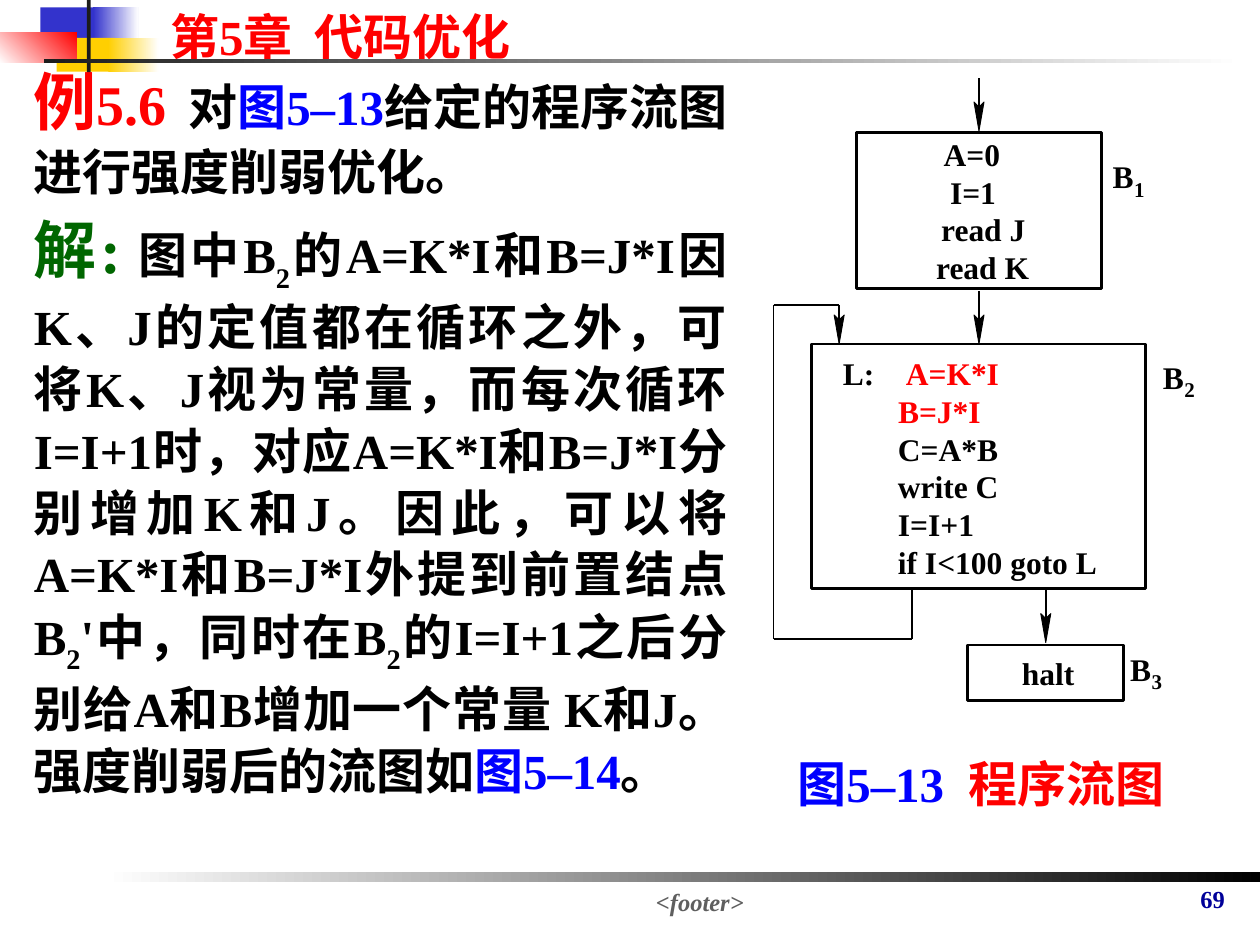
from collections import namedtuple
from itertools import pairwise

from lxml.etree import SubElement
from pptx import Presentation
from pptx.dml.color import RGBColor
from pptx.enum.shapes import MSO_CONNECTOR as LINK, MSO_SHAPE as SHAPE
from pptx.enum.text import MSO_ANCHOR as ANCHOR, MSO_AUTO_SIZE as FIT, PP_ALIGN as ALIGN
from pptx.oxml.ns import qn
from pptx.util import Inches, Pt

FONT = "Times New Roman"
BLACK, WHITE, RED, BLUE, GREEN = "000000", "FFFFFF", "FF0000", "0000FF", "006600"
COLUMNS, ROWS = 100, 75
CELL = Inches(10) / COLUMNS

Box = namedtuple("Box", "left top width height")


def rgb(value):
    """Turn a hex string into a colour."""
    return RGBColor.from_string(value)


def cells(*counts):
    """Turn grid cells into slide lengths."""
    return [round(count * CELL) for count in counts]


def inside(box, left, top, width=0, height=0):
    """Give the box at an offset from the corner of another box."""
    return Box(box.left + left, box.top + top, width, height)


def set_font(font, size, color, italic=False):
    """Format a font in the slide's bold typeface."""
    font.name, font.size, font.bold, font.italic = FONT, Pt(size), True, italic
    font.color.rgb = rgb(color)


def add_spans(para, spans):
    """Add runs given as (text, size, color, baseline)."""
    for text, size, color, *baseline in spans:
        span = para.add_run()
        span.text = text
        set_font(span.font, size, color)
        if baseline:
            span.font._element.set("baseline", str(baseline[0]))


def add_text(page, box, spans, align=ALIGN.LEFT, margins=True, italic=False):
    """Add a one-paragraph text box."""
    frame = page.shapes.add_textbox(*cells(*box)).text_frame
    frame.word_wrap = margins
    if not margins:
        frame.margin_left = frame.margin_right = frame.margin_top = frame.margin_bottom = 0
    para = frame.paragraphs[0]
    para.alignment = align
    add_spans(para, spans)
    if italic:
        para.runs[0].font.italic = True
    return frame


def add_block(page, box, color, end=None, angle=0, line=None):
    """Add a rectangle, plain or fading from color to end."""
    shape = page.shapes.add_shape(SHAPE.RECTANGLE, *cells(*box))
    shape.shadow.inherit = False
    if end:
        shape.fill.gradient()
        shape.fill.gradient_angle = angle
        for stop, stop_color in zip(shape.fill.gradient_stops, (color, end)):
            stop.color.rgb = rgb(stop_color)
    else:
        shape.fill.solid()
        shape.fill.fore_color.rgb = rgb(color)
    if line:
        shape.line.color.rgb = rgb(line)
        shape.line.width = Pt(1.62)
    else:
        shape.line.fill.background()


def add_line(page, start, end):
    """Add a thin black line between two grid points."""
    line = page.shapes.add_connector(LINK.STRAIGHT, *cells(*start, *end))
    line.line.color.rgb = rgb(BLACK)
    line.line.width = Pt(0.88)
    SubElement(line._element.spPr, qn("a:effectLst"))


def add_arrow(page, left, top, length):
    """Add a downward arrow with a barbed head."""
    tip = top + length
    add_line(page, (left, top), (left, tip - 0.4))
    outline = [(left, tip - 1.9), (left - 0.4, tip - 2.3), (left, tip), (left + 0.4, tip - 2.3)]
    points = [tuple(cells(*point)) for point in outline]
    builder = page.shapes.build_freeform(*points[0])
    builder.add_line_segments(points[1:], close=True)
    head = builder.convert_to_shape()
    head.shadow.inherit = False
    head.fill.solid()
    head.fill.fore_color.rgb = rgb(BLACK)
    head.line.color.rgb = rgb(BLACK)
    head.line.width = Pt(0.5)


def add_header(page, box):
    """Place the coloured ornament and the chapter title."""
    add_block(page, inside(box, 3.2, 0.6, 4.8, 2.7), "3333CC")
    add_block(page, inside(box, 7.4, 0.6, 3.6, 2.7), "3333CC", WHITE)
    add_block(page, inside(box, 4.5, 3, 4.6, 2.7), "FFCF01")
    add_block(page, inside(box, 8.6, 3, 4, 2.7), "FFCF01", WHITE)
    add_block(page, inside(box, 0, 2.6, 6.1, 2.4), WHITE, RED, angle=45)
    add_block(page, inside(box, 6.9, 0, 0.3, 6), "1C1C1C")
    add_block(page, inside(box, 3.5, 4.7, 95.1, 0.3), "1C1C1C", WHITE)
    title = page.shapes.title
    title.left, title.top, title.width, title.height = cells(*inside(box, 12.5, 0, 31.2, 5.7))
    frame = title.text_frame
    frame.auto_size, frame.vertical_anchor = FIT.NONE, ANCHOR.TOP
    frame.text = "第5章  代码优化"
    frame.paragraphs[0].alignment = ALIGN.LEFT
    set_font(frame.paragraphs[0].font, 28, RED)


def add_footer(page, box):
    """Place the fading rule, the footer and the page number."""
    add_block(page, inside(box, 8.3, 0, 91.7, 0.8), WHITE, BLACK)
    add_text(page, inside(box, 93.3, 0.5, 5.9, 3.4), [("69", 14, "000099")], ALIGN.CENTER)
    add_text(page, inside(box, 18.5, 0.7, 74.1, 2.6), [("<footer>", 14, "5F5F5F")],
             ALIGN.CENTER, italic=True)


def add_example(page, box):
    """Place the example and its solution."""
    sub = ("2", 28, BLACK, -30000)
    question = [("例", 36, RED), ("5.6", 32, RED), ("  ", 24, BLACK), ("对", 28, BLACK),
                ("图5–13", 28, BLUE), ("给定的程序流图进行强度削弱优化。", 28, BLACK)]
    answer = [("解:", 36, GREEN), (" ", 24, GREEN), ("图中B", 28, BLACK), sub,
              ("的A=K*I和B=J*I因K、J的定值都在循环之外，可将K、J视为常量，而每次循环I=I+1时，"
               "对应A=K*I和B=J*I分别增加K和J。因此，可以将A=K*I和B=J*I外提到前置结点B", 28, BLACK),
              sub, ("'中，同时在B", 28, BLACK), sub,
              ("的I=I+1之后分别给A和B增加一个常量 K和J。强度削弱后的流图如", 28, BLACK),
              ("图5–14", 28, BLUE), ("。", 28, BLACK)]
    frame = add_text(page, box, question, ALIGN.JUSTIFY)
    para = frame.add_paragraph()
    para.alignment = ALIGN.JUSTIFY
    para.space_before = Pt(3.5)
    add_spans(para, answer)
    for para in frame.paragraphs:
        para.line_spacing = 1.05


def add_code(page, box, lines):
    """Stack code lines, each given as an indent and its spans."""
    for row, (indent, *spans) in enumerate(lines):
        place = inside(box, indent, 3 * row, box.width - indent, 3)
        add_text(page, place, [(text, 18, color) for text, color in spans], margins=False)


def add_flowchart(page, box):
    """Place the three basic blocks, their labels and the links."""
    for place in ((6.6, 4.3, 19.4, 12.4), (3, 21.1, 26.5, 19.4), (15.4, 45, 12.4, 4.4)):
        add_block(page, inside(box, *place), WHITE, line=BLACK)
    gap = " " * 11
    add_code(page, inside(box, 12.9, 4.5, 10, 12), [
        (0.6, ("A=0", BLACK)), (1.1, ("I=1", BLACK)),
        (0.4, ("read J", BLACK)), (0, ("read K", BLACK))])
    add_code(page, inside(box, 3, 21.9, 26, 18), [
        (0, ("    L:    ", BLACK), ("A=K*I", RED)), (0, (gap, BLACK), ("B=J*I", RED)),
        *[(0, (gap + code, BLACK)) for code in ("C=A*B", "write C", "I=I+1", "if I<100 goto L")]])
    add_code(page, inside(box, 19.7, 45.7, 6, 3), [(0, ("halt", BLACK))])
    for number, (left, top) in enumerate([(26.9, 6.3), (30.9, 22.2), (28.3, 45.4)], 1):
        add_text(page, inside(box, left, top, 1.7, 3), [("B", 18, BLACK)], margins=False)
        add_text(page, inside(box, left + 1.7, top + 1.5, 0.9, 2),
                 [(str(number), 12, BLACK)], margins=False)
    for left, top, length in ((16.3, 0, 4.2), (16.3, 16.9, 4.2), (21.6, 40.6, 4.2), (5.2, 18, 3.1)):
        add_arrow(page, box.left + left, box.top + top, length)
    corners = [(11, 40.6), (11, 44.5), (0, 44.5), (0, 18), (5.2, 18)]
    for start, end in pairwise(inside(box, *corner)[:2] for corner in corners):
        add_line(page, start, end)


def main():
    """Build the slide and save it."""
    deck = Presentation()
    deck.slide_width, deck.slide_height = cells(COLUMNS, ROWS)
    page = deck.slides.add_slide(deck.slide_layouts[5])
    add_header(page, Box(0, 0, COLUMNS, 6))
    add_footer(page, Box(0, 69.2, COLUMNS, 5.8))
    add_example(page, Box(1.7, 4.2, 57, 66.7))
    add_flowchart(page, Box(61.4, 6.2, 33.4, 49.4))
    add_text(page, Box(59.5, 59.3, 36.7, 5.7),
             [("图5–13  ", 28, BLUE), ("程序流图", 28, RED)], ALIGN.CENTER)
    deck.save("out.pptx")


if __name__ == "__main__":
    main()
